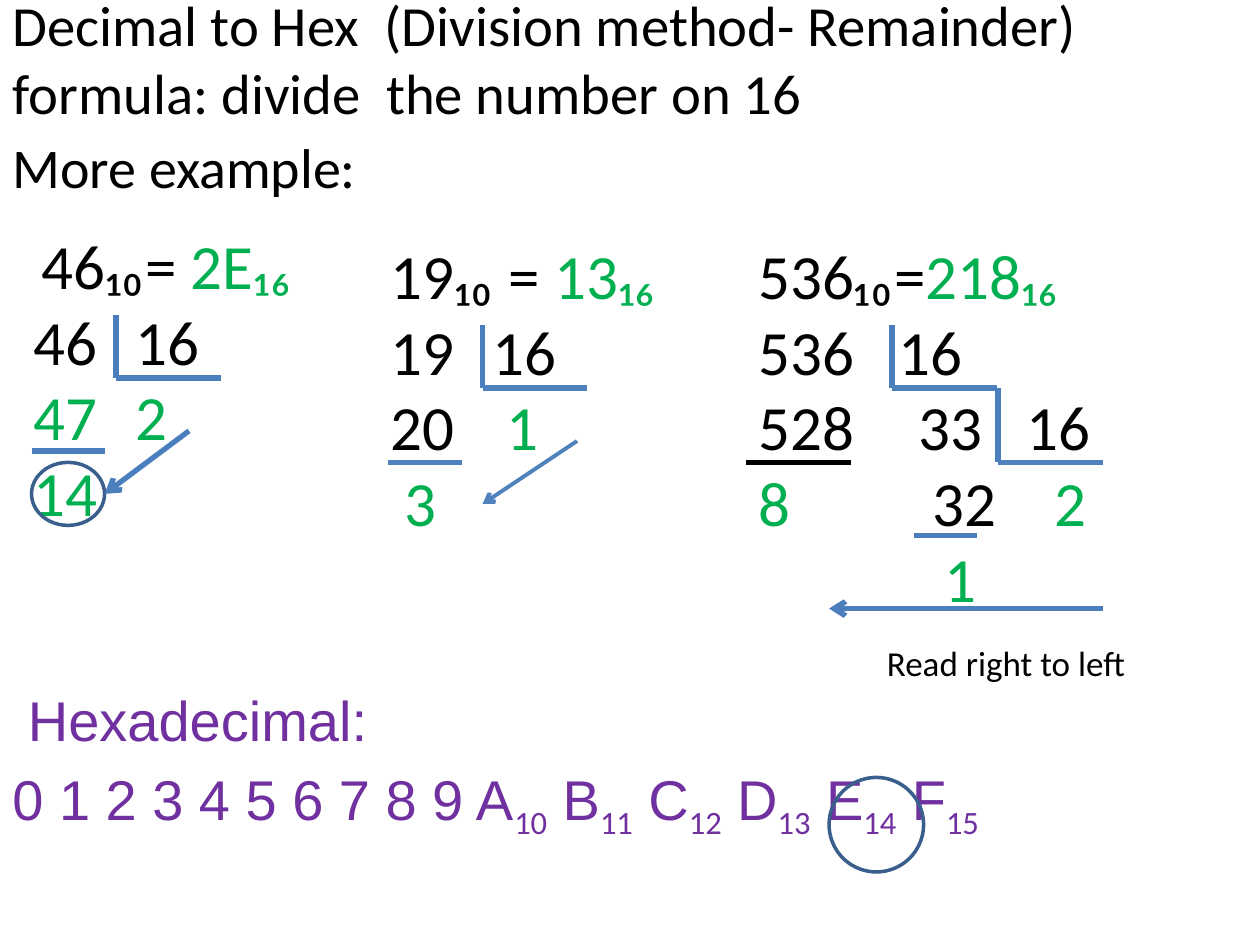
from lxml.etree import SubElement
from pptx import Presentation
from pptx.dml.color import RGBColor
from pptx.enum.shapes import MSO_CONNECTOR as LINE, MSO_SHAPE as SHAPE
from pptx.enum.text import MSO_ANCHOR as ANCHOR, PP_ALIGN as ALIGN
from pptx.oxml.ns import qn
from pptx.util import Inches, Pt

COLORS = {"ink": "000000", "answer": "00B050", "digits": "7030A0",
          "steel": "4B7EBC", "blue": "4F81BD", "ring": "3A5F8C"}


class DivisionSlide:
    """Holds the text style and the slide being filled."""

    font = "Calibri"

    def __init__(self, slide):
        self.slide = slide

    def color(self, name):
        return RGBColor.from_string(COLORS[name])

    def add_run(self, paragraph, text, color="ink", size=36, font=None, sub=False):
        run = paragraph.add_run()
        run.text = text
        for name, value in {"size": Pt(size), "name": font or self.font}.items():
            setattr(run.font, name, value)
        run.font.color.rgb = self.color(color)
        if sub:
            run._r.get_or_add_rPr().set("baseline", "-25000")

    def title(self, text, left, top, width, height):
        heading = self.slide.shapes.title
        place = {"left": left, "top": top, "width": width, "height": height}
        for name, value in place.items():
            setattr(heading, name, Inches(value))
        frame = heading.text_frame
        layout = {"vertical_anchor": ANCHOR.BOTTOM, "word_wrap": True,
                  "margin_top": 0, "margin_bottom": Inches(0.08)}
        for name, value in layout.items():
            setattr(frame, name, value)
        frame.text = text
        paragraph = frame.paragraphs[0]
        paragraph.alignment = ALIGN.LEFT
        for run in paragraph.runs:
            run.font.size, run.font.name = Pt(32.4), self.font
            run.font.color.rgb = self.color("ink")

    def text(self, left, top, width, height, rows):
        """Each row is (runs, options); options: start, indent, tabs, before."""
        box = self.slide.shapes.add_textbox(*map(Inches, (left, top, width, height)))
        frame = box.text_frame
        frame.word_wrap = True
        for index, (runs, options) in enumerate(rows):
            paragraph = frame.paragraphs[0] if index == 0 else frame.add_paragraph()
            self.arrange(paragraph, **options)
            for run in runs:
                self.add_run(paragraph, *run)

    def arrange(self, paragraph, start=None, indent=0, tabs=(), before=0):
        props = paragraph._p.get_or_add_pPr()
        if indent:
            props.set("marL", str(Inches(indent)))
        if start:
            props.set("marL", str(Inches(0.81)))
            props.set("indent", str(-Inches(0.81)))
            SubElement(props, qn("a:buFont"), typeface="+mj-lt")
            SubElement(props, qn("a:buAutoNum"), type="arabicPlain", startAt=str(start))
        if tabs:
            stops = SubElement(props, qn("a:tabLst"))
            for stop in tabs:
                SubElement(stops, qn("a:tab"), pos=str(Inches(stop)), algn="l")
        if before:
            paragraph.space_before = Pt(before)

    def line(self, x1, y1, x2, y2, color="steel", width=3, arrow=False):
        rule = self.slide.shapes.add_connector(
            LINE.STRAIGHT, *map(Inches, (x1, y1, x2, y2)))
        rule.line.color.rgb = self.color(color)
        rule.line.width = Pt(width)
        if arrow:
            SubElement(rule.line._get_or_add_ln(), qn("a:tailEnd"), type="arrow")
        SubElement(rule._element.spPr, qn("a:effectLst"))

    def bracket(self, x, top, bottom, base_color="blue"):
        """Division corner: an upright and the base to its right."""
        self.line(x, top, x, bottom)
        self.line(x, bottom, x + 0.83, bottom, base_color)

    def ring(self, left, top, width, height):
        circle = self.slide.shapes.add_shape(
            SHAPE.OVAL, *map(Inches, (left, top, width, height)))
        circle.shadow.inherit = False
        circle.fill.background()
        circle.line.color.rgb = self.color("ring")
        circle.line.width = Pt(2)


def hex_digits():
    """Runs for the digits, with values below the letters."""
    runs = [("0 1 2 3 4 5 6 7 8 9", "digits", 32, "Arial")]
    for value, letter in enumerate("ABCDEF", start=10):
        runs += [(f" {letter}", "digits", 32, "Arial"),
                 (str(value), "digits", 32, None, True)]
    return runs


def main():
    deck = Presentation()
    deck.slide_width, deck.slide_height = Inches(10), Inches(7.5)
    page = DivisionSlide(deck.slides.add_slide(deck.slide_layouts[5]))

    page.title("Decimal to Hex  (Division method- Remainder)\v"
               "formula: divide  the number on 16", 0, 0, 10, 1.08)
    page.text(0, 1, 10, 6.5, [
        ([("More example:", "ink", 32)], {}),
        ([(" Hexadecimal:", "digits", 32, "Arial")], {"before": 278}),
        (hex_digits(), {"before": 6.4}),
    ])

    page.text(0.17, 1.75, 2.5, 2.52, [
        ([("46₁₀= ",), ("2E₁₆", "answer")], {"indent": 0.06}),
        ([("16",)], {"start": 46}),
        ([("2", "answer")], {"start": 32}),
        ([("14", "answer")], {}),
    ])
    page.text(3, 1.83, 2.58, 3.13, [
        ([("19₁₀ = ",), ("13₁₆", "answer")], {}),
        ([("16",)], {"start": 19}),
        ([(" ",), ("1", "answer")], {"start": 16}),
        ([(" ",), ("3", "answer")], {}),
    ])
    page.text(5.92, 1.83, 3.42, 4.95, [
        ([("536₁₀=",), ("218₁₆", "answer")], {}),
        ([("536\t16",)], {"tabs": [1.11]}),
        ([("528\t33\t16",)], {"tabs": [1.27, 2.13]}),
        ([("8", "answer"), ("\t32\t",), ("2", "answer")], {"tabs": [1.38, 2.35]}),
        ([("1", "answer")], {"indent": 1.48}),
        ([("Read right to left", "ink", 20)], {"indent": 1.02, "before": 15}),
    ])

    page.bracket(0.92, 2.5, 3, "steel")
    for x, top, bottom in [(3.83, 2.58, 3.08), (7.08, 2.58, 3.08), (7.92, 3.08, 3.67)]:
        page.bracket(x, top, bottom)

    subtraction_rules = [(0.25, 3.58, 0.83, "steel"), (3.08, 3.67, 3.67, "blue"),
                         (5.92, 3.67, 6.75, "ink"), (7.25, 4.25, 7.75, "steel")]
    for left, y, right, color in subtraction_rules:
        page.line(left, y, right, y, color)

    page.line(8.75, 4.83, 6.58, 4.83, arrow=True)
    page.ring(6.58, 6.17, 0.75, 0.75)
    page.ring(0.25, 3.67, 0.58, 0.5)
    page.line(1.5, 3.42, 0.83, 3.92, arrow=True)
    page.line(4.58, 3.5, 3.83, 4, "blue", 2.25, arrow=True)

    deck.save("out.pptx")


if __name__ == "__main__":
    main()
